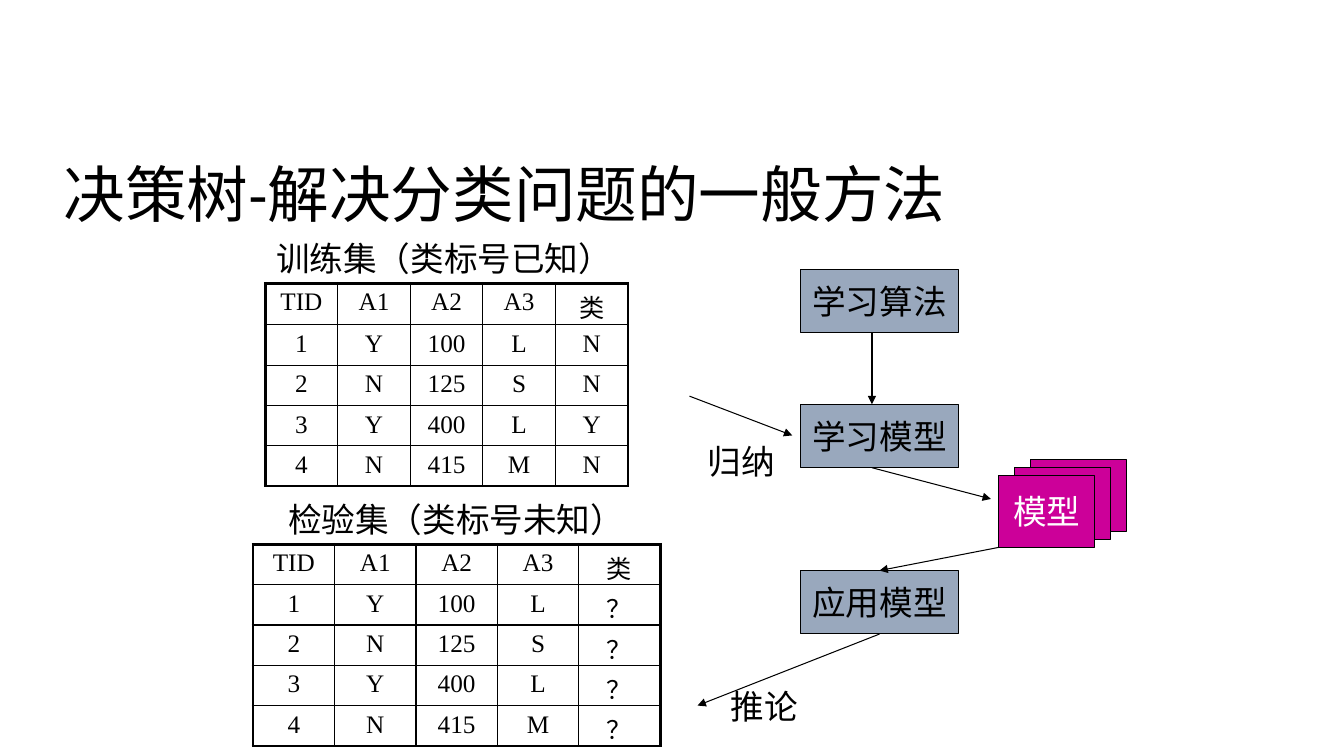
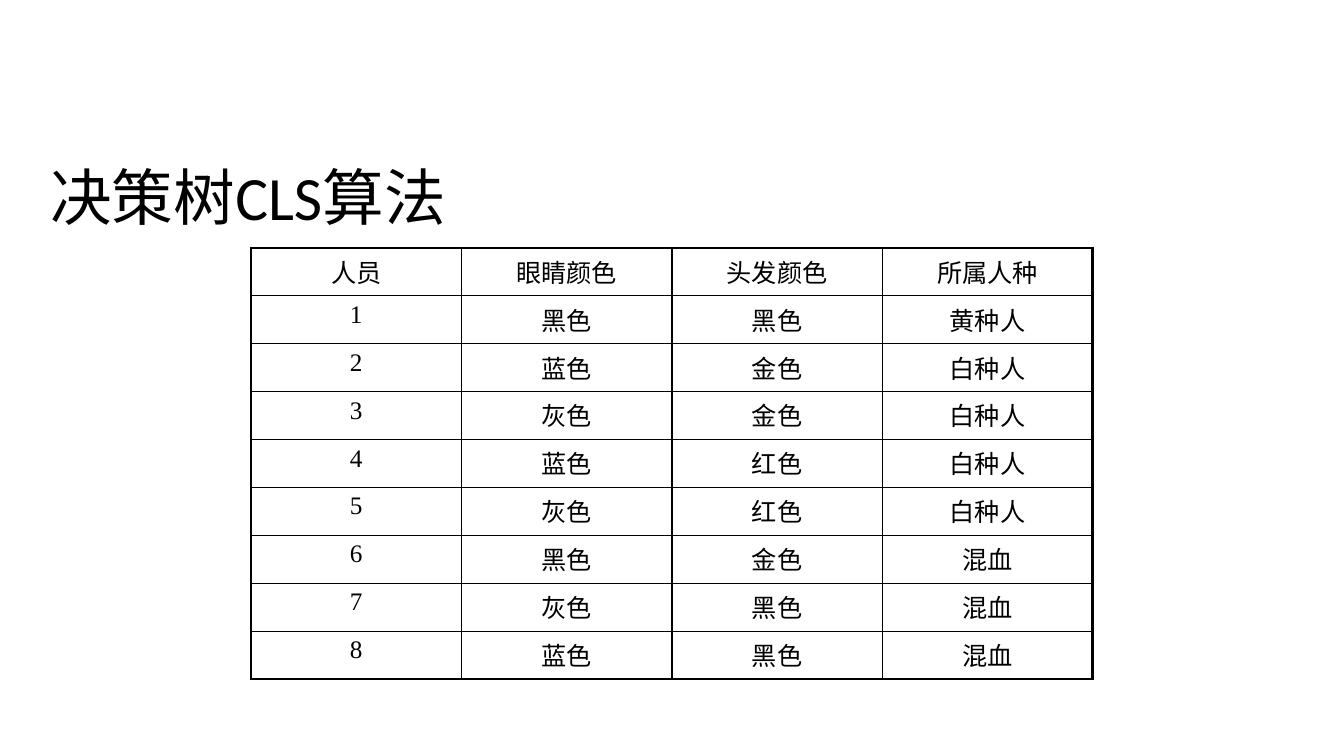
from collections import namedtuple

from lxml import etree
from pptx import Presentation
from pptx.dml.color import RGBColor
from pptx.enum.shapes import MSO_CONNECTOR, MSO_SHAPE
from pptx.enum.text import MSO_ANCHOR, MSO_AUTO_SIZE, PP_ALIGN
from pptx.oxml.ns import qn
from pptx.util import Inches, Pt

LINE = MSO_CONNECTOR.STRAIGHT
RECT = MSO_SHAPE.RECTANGLE
TOP, MIDDLE = MSO_ANCHOR.TOP, MSO_ANCHOR.MIDDLE
GROW = MSO_AUTO_SIZE.SHAPE_TO_FIT_TEXT
LEFT, CENTER = PP_ALIGN.LEFT, PP_ALIGN.CENTER
WIDE, TALL = Inches(13.33), Inches(7.5)
BLACK, WHITE, STEEL, PINK = "000000", "FFFFFF", "99A8BD", "CC0099"
SANS, SERIF = "Calibri", "Times New Roman"
THIN, THICK = Pt(1), Pt(2.25)
SITE_TOP, SITE_BOTTOM = 0, 2

Box = namedtuple("Box", "x y w h")


def hue(code):
    return RGBColor.from_string(code)


def across(share):
    return round(WIDE * share / 100)


def down(share):
    return round(TALL * share / 100)


def place(box):
    return across(box.x), down(box.y), across(box.w), down(box.h)


def write(frame, text, size=24, font=SANS, color=BLACK, align=LEFT,
          anchor=TOP, wrap=False, space=None):
    frame.word_wrap = wrap
    frame.vertical_anchor = anchor
    part = frame.paragraphs[0]
    part.alignment = align
    if space:
        part.line_spacing = space
    run = part.add_run()
    run.text = text
    run.font.size = Pt(size)
    run.font.name = font
    run.font.color.rgb = hue(color)


def title(slide, text, x, y):
    shape = slide.shapes.add_textbox(*place(Box(x, y, 86.27, 19.33)))
    write(shape.text_frame, text, size=44, anchor=MIDDLE, wrap=True, space=0.9)


def label(slide, box, text):
    frame = slide.shapes.add_textbox(*place(box)).text_frame
    write(frame, text)
    frame.auto_size = GROW


def block(slide, box, fill, text="", color=BLACK):
    shape = slide.shapes.add_shape(RECT, *place(box))
    shape.shadow.inherit = False
    shape.fill.solid()
    shape.fill.fore_color.rgb = hue(fill)
    shape.line.color.rgb = hue(BLACK)
    shape.line.width = Pt(0.75)
    if text:
        write(shape.text_frame, text, color=color, align=CENTER, anchor=MIDDLE)
    return shape


def arrow(slide, x1, y1, x2, y2):
    wire = slide.shapes.add_connector(
        LINE, across(x1), down(y1), across(x2), down(y2))
    wire.line.color.rgb = hue(BLACK)
    wire.line.width = Pt(0.75)
    etree.SubElement(wire.line._get_or_add_ln(), qn("a:tailEnd"), type="triangle")
    etree.SubElement(wire._element.spPr, qn("a:effectLst"))
    return wire


def edge(cell, side, width):
    props = cell._tc.get_or_add_tcPr()
    line = etree.SubElement(props, qn("a:ln" + side), w=str(width))
    fill = etree.SubElement(line, qn("a:solidFill"))
    etree.SubElement(fill, qn("a:srgbClr"), val=BLACK)


def grid(slide, box, rows):
    high, broad = len(rows), len(rows[0])
    table = slide.shapes.add_table(high, broad, *place(box)).table
    table.first_row = table.horz_banding = False
    for r, row in enumerate(rows):
        for c, text in enumerate(row):
            cell = table.cell(r, c)
            rims = {"L": c == 0, "R": c == broad - 1,
                    "T": r == 0, "B": r == high - 1}
            for side, rim in rims.items():
                edge(cell, side, THICK if rim else THIN)
            cell.fill.background()
            cell.margin_bottom = 0
            write(cell.text_frame, text, size=18, font=SERIF, align=CENTER, wrap=True)


def sample(slide, box, text, shift, marks):
    rows = [["TID", "A1", "A2", "A3", "类"]]
    rows += [[*row, mark] for row, mark in zip(CASES, marks)]
    grid(slide, box, rows)
    label(slide, Box(box.x + shift, box.y - 6.67, 26.5, 6.67), text)


def flow(slide, x, y):
    for text, drop in (("学习算法", 0), ("学习模型", 17.87), ("应用模型", 39.87)):
        last = block(slide, Box(x + 8.25, y + drop, 11.78, 8.4), STEEL, text)
    for back in (2, 1, 0):
        card = Box(x + 23.03 + 1.17 * back, y + 27.33 - 1.07 * back, 7.13, 9.47)
        block(slide, card, PINK, "" if back else "模型", WHITE)
    wires = [
        arrow(slide, x + x1, y + y1, x + x2, y + y2)
        for x1, y1, x2, y2 in (
            (13.58, 8.4, 13.58, 17.87),
            (13.58, 26.27, 22.43, 30.4),
            (0, 16.8, 7.65, 22),
            (23.03, 36.8, 14.14, 39.87),
            (14.14, 48.27, 0.6, 57.73),
        )
    ]
    wires[-2].end_connect(last, SITE_TOP)
    wires[-1].begin_connect(last, SITE_BOTTOM)
    label(slide, Box(x + 0.6, y + 22, 6.53, 6.67), "归纳")
    label(slide, Box(x + 2.33, y + 54.53, 6.53, 6.67), "推论")


CASES = [
    ("1", "Y", "100", "L"),
    ("2", "N", "125", "S"),
    ("3", "Y", "400", "L"),
    ("4", "N", "415", "M"),
]
PEOPLE = [
    ("人员", "眼睛颜色", "头发颜色", "所属人种"),
    ("1", "黑色", "黑色", "黄种人"),
    ("2", "蓝色", "金色", "白种人"),
    ("3", "灰色", "金色", "白种人"),
    ("4", "蓝色", "红色", "白种人"),
    ("5", "灰色", "红色", "白种人"),
    ("6", "黑色", "金色", "混血"),
    ("7", "灰色", "黑色", "混血"),
    ("8", "蓝色", "黑色", "混血"),
]


def main():
    deck = Presentation()
    deck.slide_width, deck.slide_height = WIDE, TALL
    blank = deck.slide_layouts[6]

    method = deck.slides.add_slide(blank)
    sample(method, Box(19.73, 37.47, 27, 26.67), "训练集（类标号已知）", 0.07, "NNYN")
    sample(method, Box(18.83, 72, 30.3, 26.67), "检验集（类标号未知）", 1.87, "？？？？")
    flow(method, 51.3, 35.6)
    title(method, "决策树-解决分类问题的一般方法", 4, 16.53)

    people = deck.slides.add_slide(blank)
    grid(people, Box(18.68, 32.8, 62.63, 57.07), PEOPLE)
    title(people, "决策树CLS算法", 3, 16.93)

    deck.save("out.pptx")


if __name__ == "__main__":
    main()
